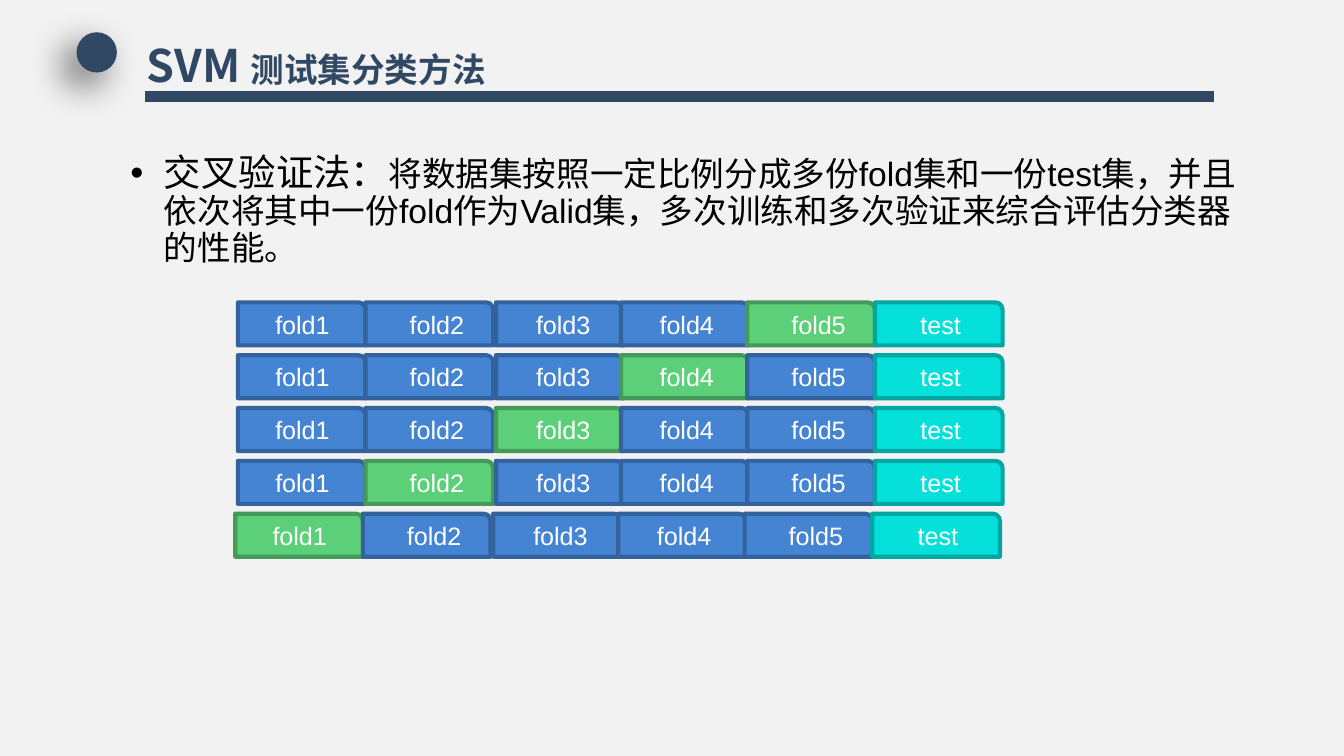
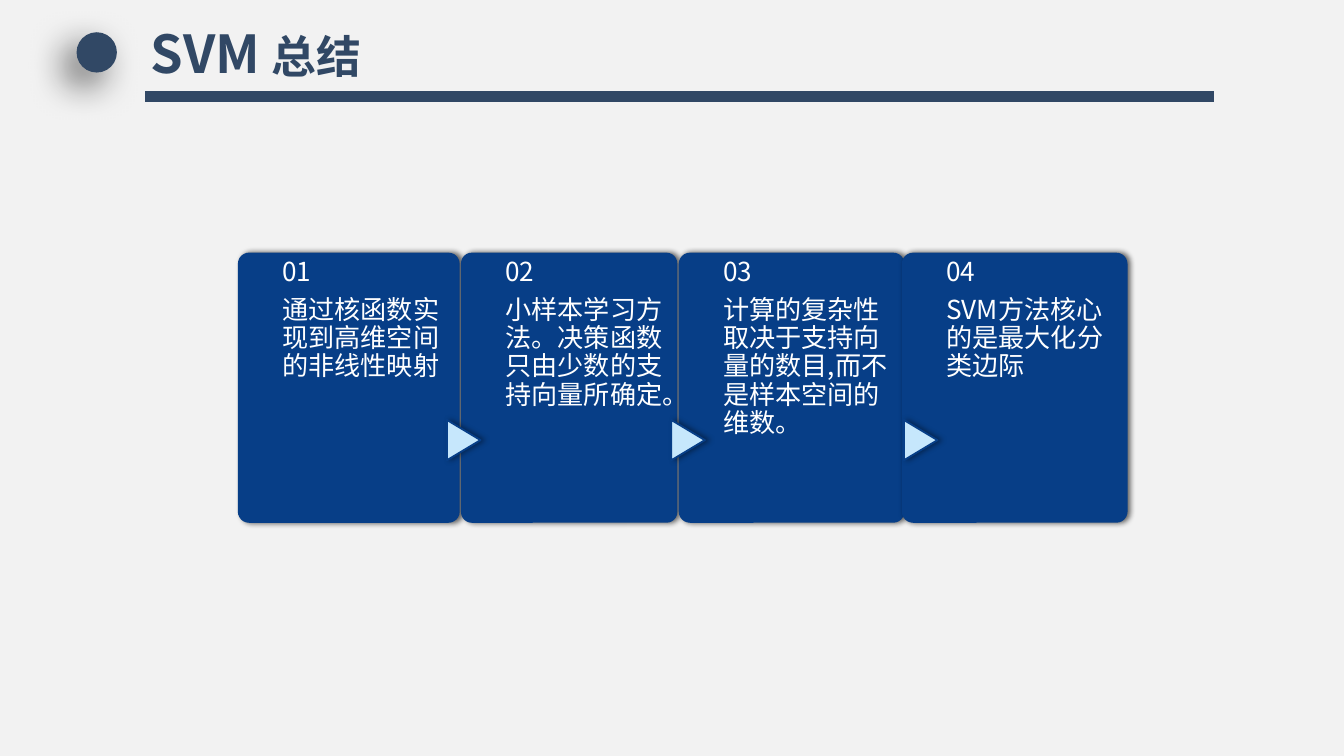
from pptx import Presentation
from pptx.dml.color import RGBColor
from pptx.enum.shapes import MSO_SHAPE
from pptx.enum.text import MSO_ANCHOR, MSO_AUTO_SIZE, PP_ALIGN
from pptx.oxml import parse_xml
from pptx.oxml.ns import nsdecls
from pptx.util import Inches, Pt

SLIDE_WIDTH = Inches(10)
SLIDE_HEIGHT = SLIDE_WIDTH * 9 // 16
GRID_COLUMNS = 100
CELL = SLIDE_WIDTH // GRID_COLUMNS

CJK_FONT = "Noto Sans CJK SC"
LATIN_FONT = "Arial"
PAPER = "F2F2F2"
NAVY = "314865"
CARD_BLUE = "073E87"
ARROW_BLUE = "C6E7FC"
WHITE = "FFFFFF"
BLACK = "000000"
TRAINING = ("4584D3", "33629C")
VALIDATION = ("5BD078", "439A59")
TESTING = ("05E0DB", "04A6A2")

FOLD_LABELS = ["fold1", "fold2", "fold3", "fold4", "fold5", "test"]
FOLD_COLUMNS = [17.7, 27.2, 36.9, 46.2, 55.6, 65.1]
LABEL_INDENTS = [1.8, 2.3, 2.0, 1.9, 2.3, 2.4]
FOLD_TOP, FOLD_PITCH, FOLD_WIDTH, FOLD_HEIGHT = 22.5, 3.93, 9.5, 3.2
ROUNDS = 5

CARD_TOP, CARD_HEIGHT, CARD_INDENT = 18.8, 20.1, 3.3
CARDS = [
    (17.7, 16.5, None, "通过核函数实现到高维空间的非线性映射"),
    (34.3, 16.1, 33, "小样本学习方法。决策函数只由少数的支持向量所确定。"),
    (50.5, 16.8, 49.7, "计算的复杂性取决于支持向量的数目,而不是样本空间的维数。"),
    (67.1, 16.8, 67, "SVM方法核心的是最大化分类边际"),
]


def color(hex_string):
    return RGBColor.from_string(hex_string)


def grid(*lengths):
    return [round(length * CELL) for length in lengths]


def move(shape, *box):
    shape.left, shape.top, shape.width, shape.height = grid(*box)


def add_run(paragraph, text, *, size, font=CJK_FONT, fill=WHITE, bold=False):
    run = paragraph.add_run()
    run.text = text
    run.font.name = font
    run.font.size = Pt(size)
    run.font.bold = bold
    run.font.color.rgb = color(fill)
    latin = run.font._element.find("{*}latin")
    latin.addnext(parse_xml(f'<a:ea {nsdecls("a")} typeface="{CJK_FONT}"/>'))


def add_shadow(shape, *, blur, distance, direction, alpha):
    effects = parse_xml(
        f'<a:effectLst {nsdecls("a")}>'
        f'<a:outerShdw blurRad="{Pt(blur)}" dist="{Pt(distance)}" '
        f'dir="{direction * 60000}" algn="ctr" rotWithShape="0">'
        f'<a:srgbClr val="{BLACK}"><a:alpha val="{alpha * 1000}"/></a:srgbClr>'
        "</a:outerShdw></a:effectLst>"
    )
    properties = shape._element.spPr
    properties.replace(properties.find("{*}effectLst"), effects)


def add_block(shapes, preset, box, fill, line=None, line_width=1):
    shape = shapes.add_shape(preset, *grid(*box))
    shape.shadow.inherit = False
    shape.fill.solid()
    shape.fill.fore_color.rgb = color(fill)
    if line:
        shape.line.color.rgb = color(line)
        shape.line.width = Pt(line_width)
    else:
        shape.line.fill.background()
    return shape


def add_text_box(shapes, box):
    frame = shapes.add_textbox(*grid(*box)).text_frame
    frame.word_wrap = True
    return frame


def add_heading(slide, topic, box, sizes):
    title = slide.shapes.title
    move(title, *box)
    frame = title.text_frame
    frame.auto_size = MSO_AUTO_SIZE.NONE
    frame.vertical_anchor = MSO_ANCHOR.TOP
    paragraph = frame.paragraphs[0]
    paragraph.alignment = PP_ALIGN.LEFT
    for text, size in zip(("SVM ", topic), sizes):
        add_run(paragraph, text, size=size, fill=NAVY, bold=True)
    dot = add_block(slide.shapes, MSO_SHAPE.OVAL, (5.7, 2.4, 3, 3), NAVY)
    add_shadow(dot, blur=20, distance=10, direction=135, alpha=60)
    add_block(slide.shapes, MSO_SHAPE.MATH_MINUS, (-3.6, 5.5, 108.3, 3.4), NAVY)


def add_definition(slide, term, meaning):
    body = slide.placeholders[1]
    move(body, 8.7, 7.2, 86.2, 45.4)
    frame = body.text_frame
    frame.auto_size = MSO_AUTO_SIZE.NONE
    frame.vertical_anchor = MSO_ANCHOR.TOP
    frame.margin_top = Inches(0.43)
    paragraph = frame.paragraphs[0]
    paragraph.line_spacing = 0.9
    paragraph.space_before = Pt(0)
    properties = paragraph._p.get_or_add_pPr()
    properties.set("marL", str(Inches(0.25)))
    properties.set("indent", str(-Inches(0.25)))
    add_run(paragraph, term, size=20, font=LATIN_FONT, fill=BLACK)
    add_run(paragraph, meaning, size=18, font=LATIN_FONT, fill=BLACK)


def add_fold_row(slide, index):
    top = FOLD_TOP + index * FOLD_PITCH
    shift = -0.2 if index == ROUNDS - 1 else 0
    validation_column = ROUNDS - 1 - index
    for column, left in enumerate(FOLD_COLUMNS):
        if column == ROUNDS:
            fill, line = TESTING
        else:
            fill, line = VALIDATION if column == validation_column else TRAINING
        box = (left + shift, top, FOLD_WIDTH, FOLD_HEIGHT)
        add_block(slide.shapes, MSO_SHAPE.ROUND_1_RECTANGLE, box, fill, line, 2.25)
    for label, left, indent in zip(FOLD_LABELS, FOLD_COLUMNS, LABEL_INDENTS):
        frame = add_text_box(slide.shapes, (left + shift + indent, top, 8.3, 3.3))
        add_run(frame.paragraphs[0], label, size=13.5, font=LATIN_FONT)


def add_card(shapes, number, left, width, arrow_left, text):
    box = (left, CARD_TOP, width, CARD_HEIGHT)
    card = add_block(shapes, MSO_SHAPE.ROUNDED_RECTANGLE, box, CARD_BLUE)
    card.adjustments[0] = 0.05
    add_shadow(card, blur=3, distance=1.5, direction=0, alpha=60)
    if arrow_left is not None:
        arrow = add_block(shapes, MSO_SHAPE.FLOWCHART_EXTRACT,
                          (arrow_left, 31.5, 3, 2.5), ARROW_BLUE, CARD_BLUE)
        arrow.rotation = 90
        add_shadow(arrow, blur=3.1, distance=1.8, direction=0, alpha=40)
    frame = add_text_box(
        shapes, (left + CARD_INDENT, CARD_TOP, width - 4.2, CARD_HEIGHT))
    frame.margin_left = frame.margin_right = frame.margin_bottom = 0
    for paragraph, words in ((frame.paragraphs[0], f"{number:02d}"),
                             (frame.add_paragraph(), text)):
        paragraph.line_spacing = 0.9
        paragraph.space_after = Pt(5)
        add_run(paragraph, words, size=14)


def build_cross_validation(presentation):
    slide = presentation.slides.add_slide(presentation.slide_layouts[1])
    add_heading(slide, "测试集分类方法", (9.9, 2.3, 30.7, 8.1), (24, 18))
    add_definition(
        slide, "交叉验证法：",
        "将数据集按照一定比例分成多份fold集和一份test集，并且依次将其中一份fold"
        "作为Valid集，多次训练和多次验证来综合评估分类器的性能。")
    for index in range(ROUNDS):
        add_fold_row(slide, index)


def build_summary(presentation):
    slide = presentation.slides.add_slide(presentation.slide_layouts[5])
    add_heading(slide, "总结", (10.2, 1.1, 33.7, 5.7), (28, 24))
    group = slide.shapes.add_group_shape()
    for number, card in enumerate(CARDS, start=1):
        add_card(group.shapes, number, *card)


def main():
    presentation = Presentation()
    presentation.slide_width = SLIDE_WIDTH
    presentation.slide_height = SLIDE_HEIGHT
    background = presentation.slide_master.background.fill
    background.solid()
    background.fore_color.rgb = color(PAPER)
    build_cross_validation(presentation)
    build_summary(presentation)
    presentation.save("out.pptx")


if __name__ == "__main__":
    main()
